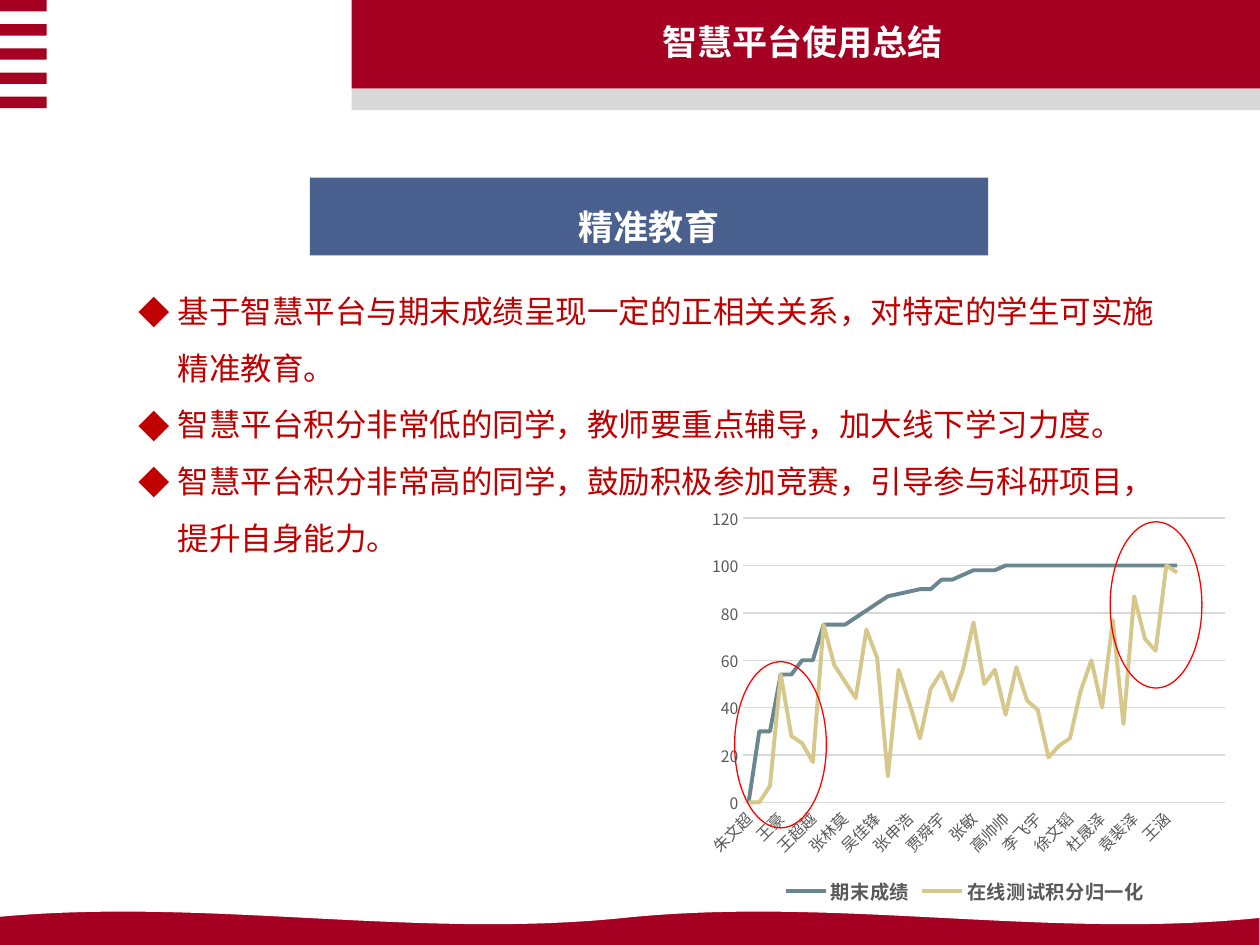
from lxml.etree import SubElement
from pptx import Presentation
from pptx.chart.data import CategoryChartData
from pptx.dml.color import RGBColor
from pptx.enum.chart import XL_CHART_TYPE as ChartType, XL_LEGEND_POSITION as LegendPlace
from pptx.enum.chart import XL_TICK_MARK as TickMark
from pptx.enum.shapes import MSO_SHAPE as Shape
from pptx.enum.text import MSO_ANCHOR as Anchor, MSO_AUTO_SIZE as AutoSize, PP_ALIGN as Align
from pptx.oxml import parse_xml
from pptx.oxml.ns import nsdecls, qn
from pptx.util import Cm, Pt

FONT = "Noto Sans CJK SC"
COLORS = {"crimson": "A50021", "grey": "D9D9D9", "white": "FFFFFF", "navy": "002060",
          "text": "C00000", "label": "595959", "ring": "FF0000",
          "exam": "6A868F", "online": "D6C88B"}

POINTS = [
    "基于智慧平台与期末成绩呈现一定的正相关关系，对特定的学生可实施精准教育。",
    "智慧平台积分非常低的同学，教师要重点辅导，加大线下学习力度。",
    "智慧平台积分非常高的同学，鼓励积极参加竞赛，引导参与科研项目，提升自身能力。",
]
STUDENTS = (
    "朱文超 乃斯热拉·于书甫 马春瑞 王豪 何文斌 左瑞 王超越 杨晨 秦卓尔 张林莫 陈吉鹏 "
    "卢日昇 吴佳锋 贡确拉珠 张博昱 张申浩 贺一鸣 章程琳 贾舜宇 董书贤 周子龙 张敏 "
    "贺宇星 张腾达 高帅帅 曹涵慧 胡格瀚 李飞宇 芦腾腾 马浩博 徐文韬 李宇洋 王家祥 "
    "杜晟泽 吴嘉浩 殷昊楠 袁裴泽 杜康 任霖飞 王涵 徐晨缘").split()
EMPTY_SLOTS = 4
SCORES = {
    "期末成绩": ("exam", [
        0, 30, 30, 54, 54, 60, 60, 75, 75, 75, 78, 81, 84, 87, 88, 89, 90, 90, 94, 94, 96,
        98, 98, 98] + [100] * 17),
    "在线测试积分归一化": ("online", [
        0, 0, 7, 54, 28, 25, 17, 75, 58, 51, 44, 73, 61, 11, 56, 42, 27, 48, 55, 43, 56,
        76, 50, 56, 37, 57, 43, 39, 19, 24, 27, 47, 60, 40, 77, 33, 87, 69, 64, 100, 97]),
}


def color(name):
    return RGBColor.from_string(COLORS[name])


def style_font(font, size, tone, bold=False):
    for key, value in {"name": FONT, "size": Pt(size), "bold": bold}.items():
        setattr(font, key, value)
    font.color.rgb = color(tone)
    props = font._element
    for old in props.findall(qn("a:ea")):
        props.remove(old)
    props.find(qn("a:latin")).addnext(
        parse_xml(f'<a:ea {nsdecls("a")} typeface="{FONT}"/>'))


def add_block(page, kind, box, fill=None, line=None):
    block = page.shapes.add_shape(kind, *map(Cm, box))
    block.shadow.inherit = False
    if fill:
        block.fill.solid()
        block.fill.fore_color.rgb = color(fill)
    else:
        block.fill.background()
    if line:
        block.line.color.rgb = color(line)
        block.line.width = Pt(0.75)
    else:
        block.line.fill.background()
    return block


def place_holder(page, holder, box):
    page.shapes._spTree.append(holder._element)
    for key, value in zip(("left", "top", "width", "height"), box):
        setattr(holder, key, Cm(value))
    frame = holder.text_frame
    for key, value in {"word_wrap": True, "auto_size": AutoSize.NONE,
                       "vertical_anchor": Anchor.TOP}.items():
        setattr(frame, key, value)
    return frame


def add_header(page, box):
    left, top, width, height = box
    add_block(page, Shape.RECTANGLE, (left, top, width, height), "crimson")
    add_block(page, Shape.RECTANGLE, (left, top + height, width, 0.43), "grey")
    frame = place_holder(page, page.shapes.title, (left + 3.68, top + 0.28, 10.82, 1.12))
    frame.text = "智慧平台使用总结"
    para = frame.paragraphs[0]
    para.alignment = Align.CENTER
    style_font(para.runs[0].font, 20, "white", True)


def add_stripes(page, box, count=5):
    left, top, width, height = box
    stripe = 0.23
    pitch = (height - stripe) / (count - 1)
    for index in range(count):
        add_block(page, Shape.RECTANGLE, (left, top + index * pitch, width, stripe), "crimson")


def add_section_label(page, box):
    label = add_block(page, Shape.RECTANGLE, box, "navy")
    tone = label._element.spPr.find(qn("a:solidFill"))[0]
    SubElement(tone, qn("a:alpha"), val="71000")
    frame = label.text_frame
    frame.vertical_anchor = Anchor.MIDDLE
    para = frame.paragraphs[0]
    para.text = "精准教育"
    para.alignment = Align.CENTER
    para.line_spacing = 1.5
    style_font(para.runs[0].font, 20, "white", True)


def add_points(page, box):
    frame = place_holder(page, page.placeholders[1], box)
    for index, point in enumerate(POINTS):
        para = frame.paragraphs[0] if index == 0 else frame.add_paragraph()
        para.text = point
        for key, value in {"line_spacing": 1.5, "space_before": Pt(0),
                           "alignment": Align.LEFT}.items():
            setattr(para, key, value)
        props = para._p.get_or_add_pPr()
        props.set("marL", str(Cm(0.79)))
        props.set("indent", str(-Cm(0.79)))
        SubElement(props, qn("a:buFont"), typeface=FONT)
        SubElement(props, qn("a:buChar"), char="◆")
        style_font(para.runs[0].font, 18, "text")


def style_axes(chart):
    names, values = chart.category_axis, chart.value_axis
    for axis in (names, values):
        axis.major_tick_mark = axis.minor_tick_mark = TickMark.NONE
        style_font(axis.tick_labels.font, 9, "label")
    for line in (names.format.line, values.major_gridlines.format.line):
        line.color.rgb = color("grey")
        line.width = Pt(0.75)
    values.format.line.fill.background()
    for key, value in {"minimum_scale": 0, "maximum_scale": 120, "major_unit": 20}.items():
        setattr(values, key, value)
    names._element.find(qn("c:txPr")).find(qn("a:bodyPr")).set("rot", "-2700000")
    skip = parse_xml(f'<c:tickLblSkip {nsdecls("c")} val="4"/>')
    names._element.find(qn("c:noMultiLvlLbl")).addprevious(skip)


def set_plot_area(chart, x, y, w, h):
    area = chart._chartSpace.chart.plotArea
    for old in area.findall(qn("c:layout")):
        area.remove(old)
    parts = {"layoutTarget": "inner", "xMode": "edge", "yMode": "edge",
             "x": x, "y": y, "w": w, "h": h}
    inner = "".join(f'<c:{key} val="{value}"/>' for key, value in parts.items())
    area.insert(0, parse_xml(f'<c:layout {nsdecls("c")}><c:manualLayout>{inner}'
                             '</c:manualLayout></c:layout>'))


def add_score_chart(page, box):
    data = CategoryChartData()
    data.categories = STUDENTS + [""] * EMPTY_SLOTS
    for name, (_, scores) in SCORES.items():
        data.add_series(name, scores + [None] * EMPTY_SLOTS)
    chart = page.shapes.add_chart(ChartType.LINE, *map(Cm, box), data).chart
    chart.has_title = False
    style_font(chart.font, 10, "label")
    chart.plots[0].vary_by_categories = False
    for series, (tone, _) in zip(chart.plots[0].series, SCORES.values()):
        series.smooth = False
        series.format.line.color.rgb = color(tone)
        series.format.line.width = Pt(2.25)
    style_axes(chart)
    set_plot_area(chart, 0.09, 0.05, 0.89, 0.69)
    chart.has_legend = True
    chart.legend.position = LegendPlace.BOTTOM
    chart.legend.include_in_layout = False
    style_font(chart.legend.font, 11, "label", True)
    left, top = box[:2]
    for across, down in ((0.81, 3.31), (8.38, 0.49)):
        add_block(page, Shape.OVAL, (left + across, top + down, 1.85, 3.35), line="ring")


def main():
    deck = Presentation()
    deck.slide_width, deck.slide_height = Cm(25.4), Cm(19.05)
    page = deck.slides.add_slide(deck.slide_layouts[1])
    add_header(page, (7.09, 0, 18.31, 1.79))
    add_stripes(page, (0, 0, 0.94, 2.18))
    add_block(page, Shape.DOUBLE_WAVE, (-0.23, 18.36, 25.63, 2.11), "crimson", "white")
    add_points(page, (2.54, 5.38, 21.06, 7.37))
    add_section_label(page, (6.25, 3.58, 13.67, 1.57))
    add_score_chart(page, (14, 10.03, 10.92, 8.31))
    deck.save("out.pptx")


if __name__ == "__main__":
    main()
